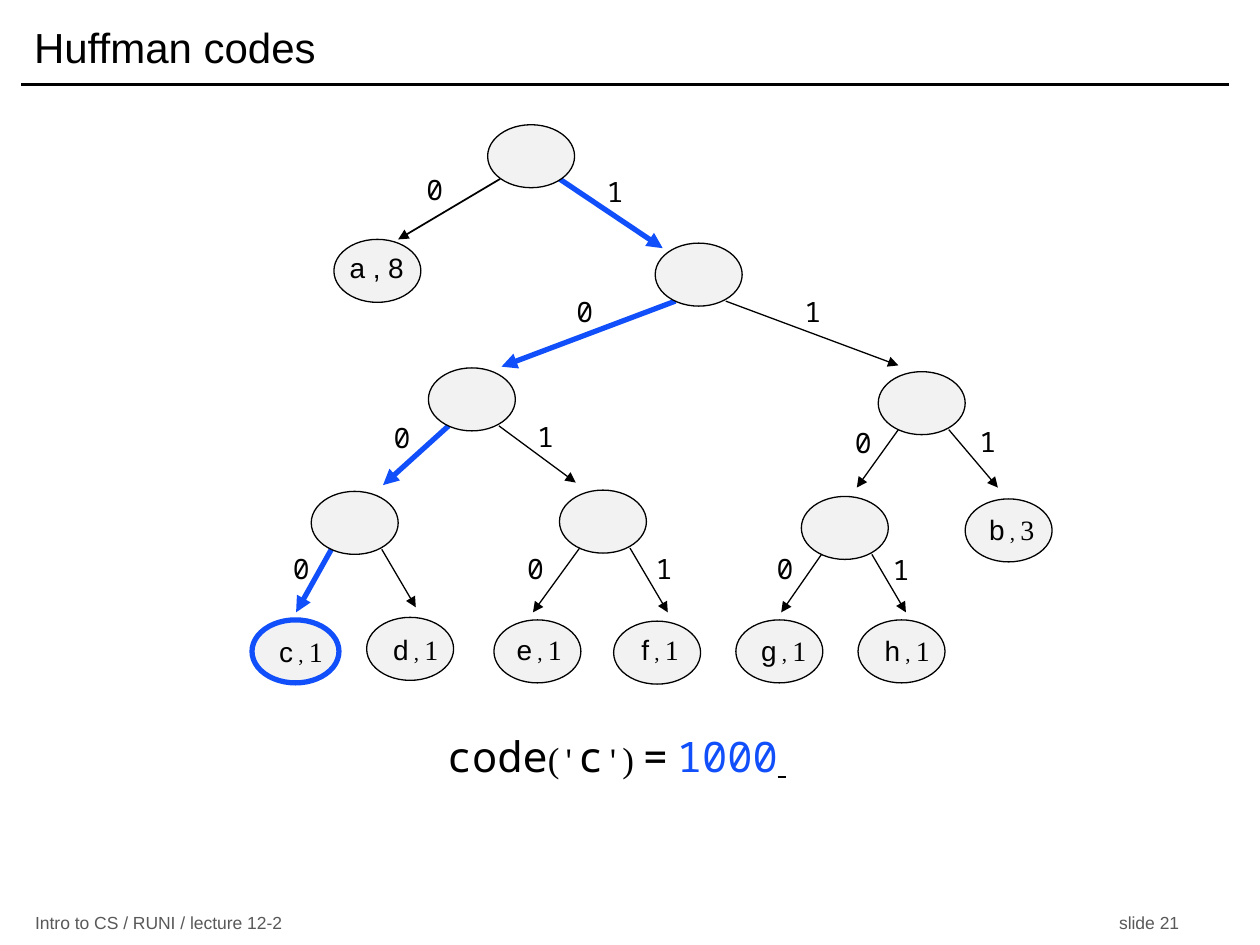
from dataclasses import dataclass
from typing import Optional

import pptx
import pptx.dml.color
import pptx.enum.shapes
import pptx.enum.text
import pptx.oxml
import pptx.oxml.ns
import pptx.util

Inches = pptx.util.Inches
Align = pptx.enum.text.PP_ALIGN
Anchor = pptx.enum.text.MSO_ANCHOR

COLORS = {"ink": "000000", "path": "114FFB", "node": "F2F2F2", "footer": "595959"}
SANS, MONO, SERIF = "Arial", "Noto Sans Mono", "Times New Roman"
NODE_WIDTH, NODE_HEIGHT = 0.69, 0.5
BIT_WIDTH, TEXT_HEIGHT = 0.32, 0.37
THIN, THICK = 0.75, 3


@dataclass
class Span:
    text: str
    size: float
    font: str
    color: str = "ink"
    underline: bool = False


@dataclass
class Node:
    left: float
    top: float
    on_path: bool = False
    feet: tuple[float, float] = (0.16, 0.56)
    foot_drop: float = 0.46


@dataclass
class Leaf:
    node: Node
    letter: str
    text_left: float
    text_top: float
    text_width: float = 0.56


@dataclass
class Edge:
    parent: Node
    bit: int
    tip: tuple[float, float]
    bit_at: Optional[tuple[float, float]]
    on_path: bool = False
    width: float = THIN


def rgb(name: str) -> pptx.dml.color.RGBColor:
    return pptx.dml.color.RGBColor.from_string(COLORS[name])


def format_span(span, style: Span) -> None:
    span.font.size = pptx.util.Pt(style.size)
    span.font.name = style.font
    span.font.color.rgb = rgb(style.color)
    if style.underline:
        span.font.underline = True


def add_text(page, left: float, top: float, width: float, height: float,
             spans: list[Span], wrap: bool = True, inset: float = 0) -> None:
    box = page.shapes.add_textbox(*map(Inches, (left, top, width, height)))
    frame = box.text_frame
    frame.word_wrap = wrap
    frame.margin_left = frame.margin_right = Inches(inset)
    para = frame.paragraphs[0]
    para.alignment = Align.CENTER
    for style in spans:
        span = para.add_run()
        span.text = style.text
        format_span(span, style)


def add_line(page, start: tuple[float, float], end: tuple[float, float],
             color: str, width: float, arrow: bool = False) -> None:
    line = page.shapes.add_connector(
        pptx.enum.shapes.MSO_CONNECTOR.STRAIGHT, *map(Inches, (*start, *end)))
    line.line.color.rgb = rgb(color)
    line.line.width = pptx.util.Pt(width)
    properties = line._element.spPr
    if arrow:
        outline = properties.find(pptx.oxml.ns.qn("a:ln"))
        outline.append(pptx.oxml.parse_xml(
            f'<a:tailEnd {pptx.oxml.ns.nsdecls("a")} type="triangle"/>'))
    properties.append(
        pptx.oxml.parse_xml(f'<a:effectLst {pptx.oxml.ns.nsdecls("a")}/>'))


def add_edge(page, edge: Edge) -> None:
    parent = edge.parent
    start = (parent.left + parent.feet[edge.bit], parent.top + parent.foot_drop)
    color = "path" if edge.on_path else "ink"
    add_line(page, start, edge.tip, color, THICK if edge.on_path else edge.width, True)


def add_node(page, node: Node) -> None:
    oval = page.shapes.add_shape(
        pptx.enum.shapes.MSO_SHAPE.OVAL,
        *map(Inches, (node.left, node.top, NODE_WIDTH, NODE_HEIGHT)))
    oval.shadow.inherit = False
    oval.fill.solid()
    oval.fill.fore_color.rgb = rgb("node")
    oval.line.color.rgb = rgb("path" if node.on_path else "ink")
    oval.line.width = pptx.util.Pt(THICK if node.on_path else THIN)


def add_leaf_text(page, leaf: Leaf, spans: list[Span]) -> None:
    add_text(page, leaf.text_left, leaf.text_top, leaf.text_width, TEXT_HEIGHT,
             spans, wrap=False)


def add_footer(page) -> None:
    box = page.shapes.add_textbox(*map(Inches, (0.18, 7.23, 9.42, 0.19)))
    frame = box.text_frame
    frame.word_wrap = True
    frame.vertical_anchor = Anchor.MIDDLE
    para = frame.paragraphs[0]
    para.text = "Intro to CS / RUNI / lecture 12-2\tslide 21"
    para._p.get_or_add_pPr().append(pptx.oxml.parse_xml(
        f'<a:tabLst {pptx.oxml.ns.nsdecls("a")}>'
        f'<a:tab pos="{Inches(9.08)}" algn="r"/></a:tabLst>'))
    for span in para.runs:
        format_span(span, Span(span.text, 10, SANS, "footer"))


# Inner nodes, named by the bits that lead to them
root = Node(3.87, 0.99, feet=(0.1, 0.57), foot_drop=0.43)
n1 = Node(5.2, 1.93)
n10, n11 = Node(3.4, 2.92), Node(6.97, 2.95)
n100, n101, n110 = Node(2.47, 3.9), Node(4.44, 3.89), Node(6.36, 3.94)
INNER = [root, n1, n10, n11, n100, n101, n110]

LEAF_A = Leaf(Node(2.65, 1.9), "a", 2.67, 1.94, 0.64)
LEAF_B = Leaf(Node(7.66, 3.96), "b", 7.75, 4.02)
LEAVES = [
    Leaf(Node(2, 4.92, True), "c", 2.11, 4.99),
    Leaf(Node(2.91, 4.9), "d", 3.02, 4.97),
    Leaf(Node(3.92, 4.92), "e", 4, 4.97),
    Leaf(Node(4.87, 4.93), "f", 4.96, 4.97),
    Leaf(Node(5.84, 4.92), "g", 5.94, 4.98),
    Leaf(Node(6.81, 4.92), "h", 6.92, 4.98),
]

EDGES = [
    Edge(root, 0, (3.16, 1.9), (3.29, 1.32), width=1),
    Edge(root, 1, (5.26, 1.97), (4.72, 1.34), True),
    Edge(n1, 0, (3.98, 2.91), (4.48, 2.29), True),
    Edge(n1, 1, (7.13, 2.9), (6.29, 2.29)),
    Edge(n10, 0, (3.04, 3.85), (3.03, 3.29), True),
    Edge(n10, 1, (4.57, 3.83), (4.17, 3.28)),
    Edge(n11, 0, (6.8, 3.87), (6.69, 3.33)),
    Edge(n11, 1, (7.92, 3.87), (7.68, 3.32)),
    Edge(n100, 0, (2.35, 4.86), (2.23, 4.33), True),
    Edge(n100, 1, (3.3, 4.82), None),
    Edge(n101, 0, (4.23, 4.86), (4.09, 4.33)),
    Edge(n101, 1, (5.3, 4.86), (5.11, 4.33)),
    Edge(n110, 0, (6.2, 4.86), (6.07, 4.33)),
    Edge(n110, 1, (7.19, 4.86), (6.99, 4.34)),
]

CODE = [
    Span("code", 24, MONO), Span("(", 20, SERIF), Span("'", 18, MONO),
    Span("c", 24, MONO), Span("'", 18, MONO), Span(") ", 20, SERIF),
    Span("=", 24, MONO), Span(" ", 20, SERIF), Span("1000", 24, MONO, "path"),
    Span(" ", 20, SERIF, underline=True),
]


def main() -> None:
    deck = pptx.Presentation()
    deck.slide_width, deck.slide_height = Inches(10), Inches(7.5)
    page = deck.slides.add_slide(deck.slide_layouts[5])

    # Title, rule and footer
    title = page.shapes.title
    title.left, title.top, title.width, title.height = map(
        Inches, (0.17, 0.08, 9.58, 0.58))
    title.text_frame.text = "Huffman codes"
    title.text_frame.vertical_anchor = Anchor.MIDDLE
    para = title.text_frame.paragraphs[0]
    para.alignment = Align.LEFT
    format_span(para.runs[0], Span("", 24, SANS))
    add_line(page, (0.17, 0.67), (9.75, 0.67), "ink", 2)
    add_footer(page)

    # Tree: edges lie under the nodes, text on top
    for edge in EDGES:
        add_edge(page, edge)
    for node in INNER + [leaf.node for leaf in [LEAF_A, LEAF_B, *LEAVES]]:
        add_node(page, node)
    add_leaf_text(page, LEAF_A, [Span("a , 8", 16, SANS)])
    for leaf in [LEAF_B, *LEAVES]:
        count = "3" if leaf is LEAF_B else "1"
        add_leaf_text(page, leaf, [Span(leaf.letter, 16, SANS), Span(" , ", 12, SERIF),
                                   Span(count, 16, SERIF)])
    for edge in EDGES:
        if edge.bit_at:
            add_text(page, *edge.bit_at, BIT_WIDTH, TEXT_HEIGHT,
                     [Span(str(edge.bit), 16, MONO)])

    # Resulting code word
    add_text(page, 2.48, 5.75, 4.83, 0.51, CODE)
    deck.save("out.pptx")


if __name__ == "__main__":
    main()
